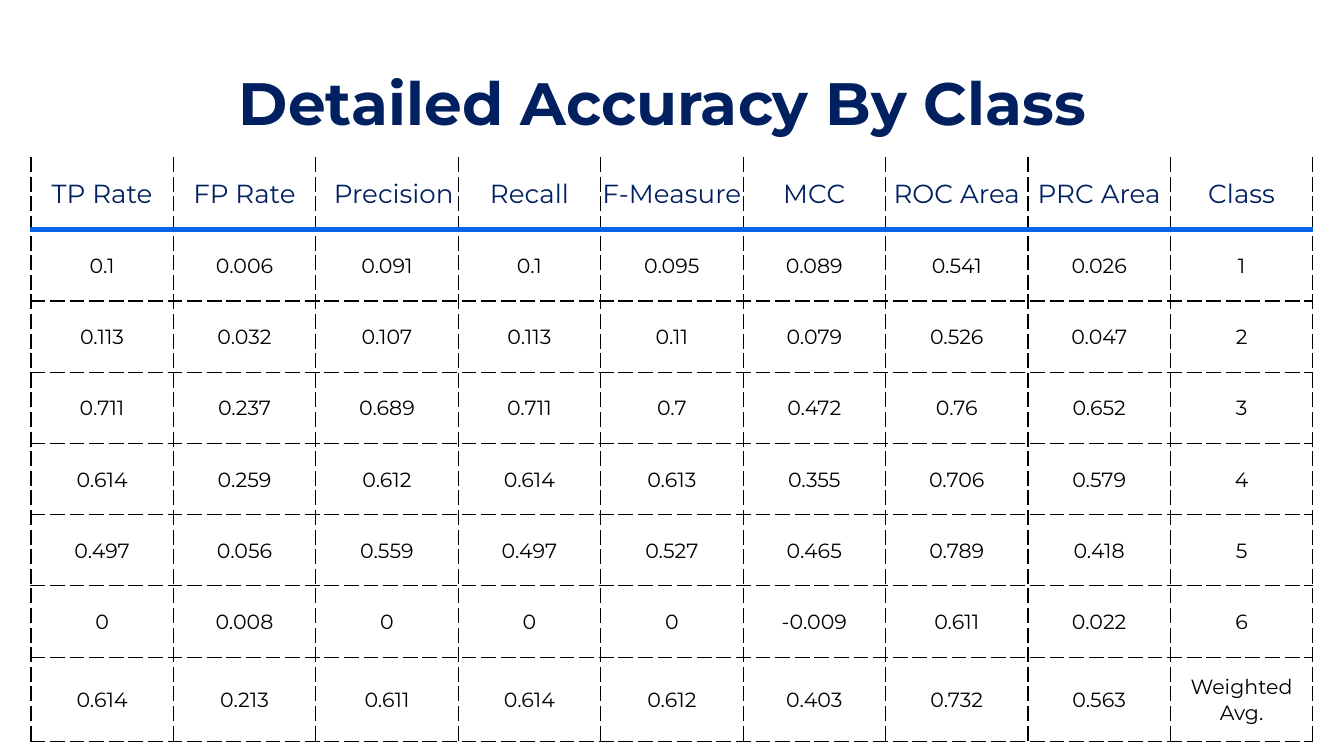
from lxml import etree
from pptx import Presentation
from pptx.dml.color import RGBColor
from pptx.enum.text import MSO_ANCHOR as Anchor, PP_ALIGN as Align
from pptx.oxml.ns import qn
from pptx.util import Inches, Pt

NAVY, BLUE, BLACK = "002060", "0363EB", "000000"
HEADERS = ["TP Rate", "FP Rate", "Precision", "Recall", "F-Measure",
           "MCC", "ROC Area", "PRC Area", "Class"]
ROWS = [
    ["0.1", "0.006", "0.091", "0.1", "0.095", "0.089", "0.541", "0.026", "1"],
    ["0.113", "0.032", "0.107", "0.113", "0.11", "0.079", "0.526", "0.047", "2"],
    ["0.711", "0.237", "0.689", "0.711", "0.7", "0.472", "0.76", "0.652", "3"],
    ["0.614", "0.259", "0.612", "0.614", "0.613", "0.355", "0.706", "0.579", "4"],
    ["0.497", "0.056", "0.559", "0.497", "0.527", "0.465", "0.789", "0.418", "5"],
    ["0", "0.008", "0", "0", "0", "-0.009", "0.611", "0.022", "6"],
    ["0.614", "0.213", "0.611", "0.614", "0.612", "0.403", "0.732", "0.563", "Weighted Avg."],
]
GRID = [HEADERS] + ROWS
COLUMN_WIDTH, ROW_HEIGHT, LAST_ROW_HEIGHT = 1.06, 0.53, 0.63


def add_text(frame, text, size, color, bold=False):
    paragraph = frame.paragraphs[0]
    paragraph.alignment = Align.CENTER
    run = paragraph.add_run()
    run.text = text
    run.font.name = "Montserrat"
    run.font.size = Pt(size)
    run.font.bold = bold
    run.font.color.rgb = RGBColor.from_string(color)


def add_border(cell, side, color=BLACK, width=0.75, dash="dash"):
    properties = cell._tc.get_or_add_tcPr()
    line = etree.SubElement(properties, qn(f"a:ln{side}"), w=str(Pt(width)))
    if color is None:
        etree.SubElement(line, qn("a:noFill"))
        return
    fill = etree.SubElement(line, qn("a:solidFill"))
    etree.SubElement(fill, qn("a:srgbClr"), val=color)
    etree.SubElement(line, qn("a:prstDash"), val=dash)


presentation = Presentation()
presentation.slide_width = Inches(10)
presentation.slide_height = Inches(10 * 9 / 16)
slide = presentation.slides.add_slide(presentation.slide_layouts[6])

title = slide.shapes.add_textbox(Inches(0.49), Inches(0.45), Inches(9.01), Inches(0.61))
frame = title.text_frame
frame.word_wrap = True
frame.vertical_anchor = Anchor.MIDDLE
frame.margin_left = frame.margin_right = Inches(0.1)
frame.margin_top = frame.margin_bottom = Inches(0.1)
add_text(frame, "Detailed Accuracy By Class ", 32, NAVY, bold=True)

table_height = ROW_HEIGHT * (len(GRID) - 1) + LAST_ROW_HEIGHT
table = slide.shapes.add_table(
    len(GRID), len(HEADERS), Inches(0.23), Inches(1.17),
    Inches(COLUMN_WIDTH * len(HEADERS)), Inches(table_height)).table
table.first_row = False
table.horz_banding = False
for column in table.columns:
    column.width = Inches(COLUMN_WIDTH)
for row in table.rows:
    row.height = Inches(ROW_HEIGHT)
table.rows[0].height = Inches(0.54)
table.rows[len(GRID) - 1].height = Inches(LAST_ROW_HEIGHT)

for row_index, values in enumerate(GRID):
    for column_index, value in enumerate(values):
        cell = table.cell(row_index, column_index)
        cell.vertical_anchor = Anchor.MIDDLE
        cell.margin_left = Inches(0.11 if value == "Precision" else 0.01)
        cell.margin_right = cell.margin_top = Inches(0.01)
        cell.margin_bottom = 0
        add_border(cell, "L")
        add_border(cell, "R")
        if row_index == 0:
            add_border(cell, "T", None)
            add_border(cell, "B", BLUE, 3, "solid")
            add_text(cell.text_frame, value, 14, NAVY)
        else:
            if row_index == 1:
                add_border(cell, "T", BLUE, 3, "solid")
            else:
                add_border(cell, "T")
            add_border(cell, "B")
            add_text(cell.text_frame, value, 11, BLACK)
        cell.fill.background()

presentation.save("out.pptx")
